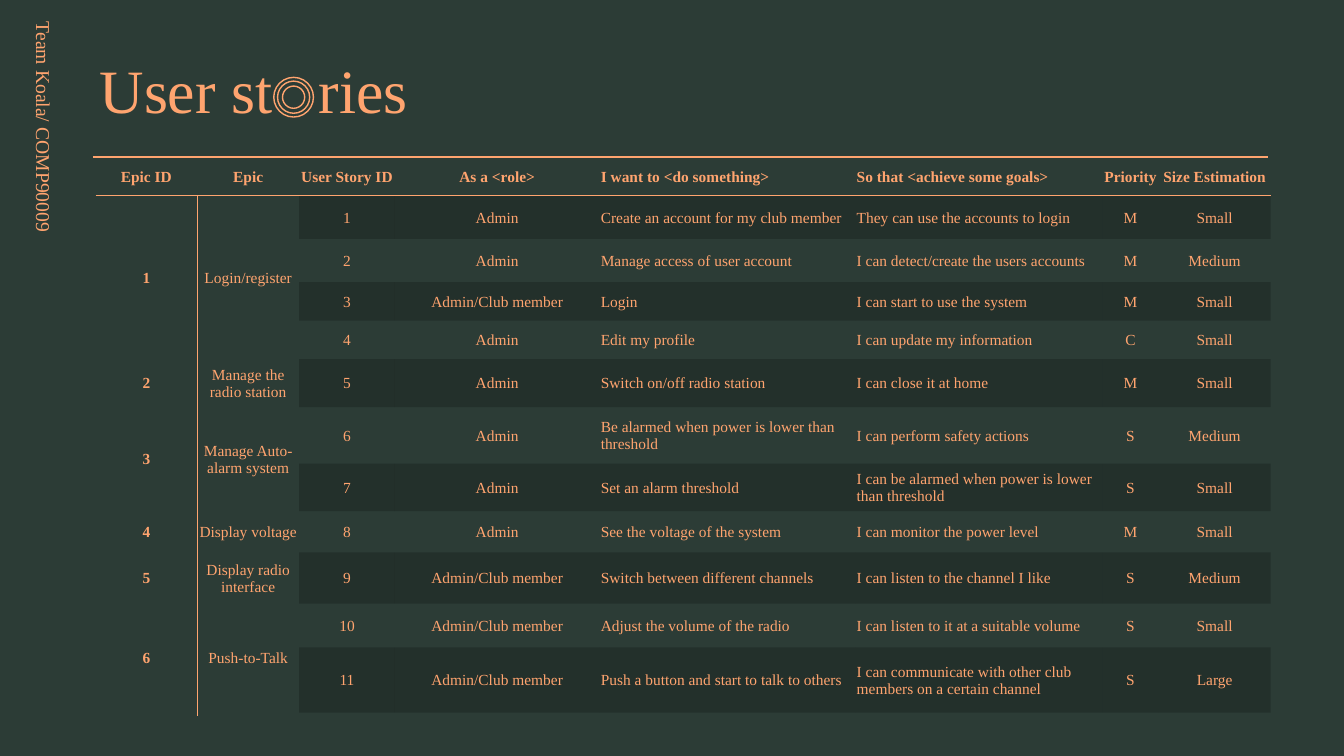
from dataclasses import dataclass

from lxml import etree
from pptx import Presentation
from pptx.dml.color import RGBColor
from pptx.enum import shapes, text
from pptx.oxml.ns import qn
from pptx.util import Cm, Pt

TITLE = ("User st", " ", "ries")
SIDE = "Team Koala/ COMP90009"
HEADS = ["Epic ID", "Epic", "User Story ID", "As a <role>",
         "I want to <do something>", "So that <achieve some goals>",
         "Priority", "Size Estimation"]
BOTH = "Admin/Club member"
# Each epic: name and its stories (role, wish, goal, priority, size)
EPICS = [
    ("Login/register", [
        ("Admin", "Create an account for my club member",
         "They can use the accounts to login", "M", "Small"),
        ("Admin", "Manage access of user account",
         "I can detect/create the users accounts", "M", "Medium"),
        (BOTH, "Login", "I can start to use the system", "M", "Small"),
        ("Admin", "Edit my profile", "I can update my information", "C", "Small"),
    ]),
    ("Manage the radio station", [
        ("Admin", "Switch on/off radio station", "I can close it at home", "M", "Small"),
    ]),
    ("Manage Auto-alarm system", [
        ("Admin", "Be alarmed when power is lower than threshold",
         "I can perform safety actions", "S", "Medium"),
        ("Admin", "Set an alarm threshold",
         "I can be alarmed when power is lower than threshold", "S", "Small"),
    ]),
    ("Display voltage", [
        ("Admin", "See the voltage of the system",
         "I can monitor the power level", "M", "Small"),
    ]),
    ("Display radio interface", [
        (BOTH, "Switch between different channels",
         "I can listen to the channel I like", "S", "Medium"),
    ]),
    ("Push-to-Talk", [
        (BOTH, "Adjust the volume of the radio",
         "I can listen to it at a suitable volume", "S", "Small"),
        (BOTH, "Push a button and start to talk to others",
         "I can communicate with other club members on a certain channel", "S", "Large"),
    ]),
]

# Lengths in centimetres
WIDE, HIGH = 33.87, 19.05
LEFT, TOP = 2.41, 3.96
COLS = [2.56, 2.57, 2.41, 5.16, 6.45, 6.22, 1.42, 2.82]
ROWS = [0.97, 1.09, 1.09, 0.97, 0.97, 1.21, 1.42, 1.2, 1.04, 1.29, 1.1, 1.65]
RINGS = (7.4, 2.45, [0.81, 0.56, 1.0])  # centre x, centre y, diameters
FLUSH = (4, 5)  # columns set to the left


@dataclass(frozen=True)
class Theme:
    font: str = "Times New Roman"
    ink: RGBColor = RGBColor(0xFF, 0xA4, 0x6F)
    back: RGBColor = RGBColor(0x2C, 0x3C, 0x36)
    band: RGBColor = RGBColor(0, 0, 0)
    alpha: int = 20
    title: int = 44
    side: int = 14
    cell: int = 11
    line: int = 1


LOOK = Theme()


def style(para, size, bold=False):
    font = para.font
    font.name, font.size, font.bold = LOOK.font, Pt(size), bold
    font.color.rgb = LOOK.ink


def write(cell, words, bold=False, left=False):
    cell.text = words
    cell.vertical_anchor = text.MSO_ANCHOR.MIDDLE
    cell.margin_left = cell.margin_top = cell.margin_right = Cm(0.03)
    cell.margin_bottom = 0
    para = cell.text_frame.paragraphs[0]
    para.alignment = text.PP_ALIGN.LEFT if left else text.PP_ALIGN.CENTER
    style(para, LOOK.cell, bold)


def shade(cell):
    """Fill a cell with the translucent band colour."""
    cell.fill.solid()
    cell.fill.fore_color.rgb = LOOK.band
    tone = next(cell.fill._xPr.iter(qn("a:srgbClr")))
    etree.SubElement(tone, qn("a:alpha")).set("val", str(LOOK.alpha * 1000))


def rule(slide, x1, y1, x2, y2):
    line = slide.shapes.add_connector(
        shapes.MSO_CONNECTOR.STRAIGHT, Cm(x1), Cm(y1), Cm(x2), Cm(y2))
    line.line.color.rgb = LOOK.ink
    line.line.width = Pt(LOOK.line)
    etree.SubElement(line._element.spPr, qn("a:effectLst"))


def frame(slide, x, y, w, h):
    body = slide.shapes.add_textbox(Cm(x), Cm(y), Cm(w), Cm(h)).text_frame
    body.word_wrap = True
    return body


def heading(slide):
    body = frame(slide, 2.26, 0.51, 29.21, 3.68)
    body.vertical_anchor = text.MSO_ANCHOR.MIDDLE
    para = body.paragraphs[0]
    para.line_spacing = 0.9
    style(para, LOOK.title)
    runs = [para.add_run() for _ in TITLE]
    for run, part in zip(runs, TITLE):
        run.text = part
    # Widen the one space so that the rings fit into it
    runs[1].font._element.set("spc", "2200")


def label(slide):
    body = frame(slide, 0.41, 0.3, 1.12, 9.22)
    body._txBody.bodyPr.set("vert", "eaVert")
    body.text = SIDE
    style(body.paragraphs[0], LOOK.side)


def stories(slide):
    table = slide.shapes.add_table(
        len(ROWS), len(COLS), Cm(LEFT), Cm(TOP), Cm(sum(COLS)), Cm(sum(ROWS))).table
    table.first_row = table.horz_banding = False
    plain = "{2D5ABB26-0587-4C30-8999-92F81FD0307C}"
    next(table._tbl.iter(qn("a:tableStyleId"))).text = plain
    for col, width in zip(table.columns, COLS):
        col.width = Cm(width)
    for row, height in zip(table.rows, ROWS):
        row.height = Cm(height)
    for cell in table.iter_cells():
        cell.fill.background()

    for col, head in enumerate(HEADS):
        write(table.cell(0, col), head, True, col in FLUSH)
    row = 1
    for epic, (name, tales) in enumerate(EPICS, 1):
        last = row + len(tales) - 1
        for col, words in enumerate((str(epic), name)):
            cell = table.cell(row, col)
            if last > row:
                cell.merge(table.cell(last, col))
            write(cell, words, col == 0)
        for row, tale in enumerate(tales, row):
            for col, words in enumerate((str(row), *tale), 2):
                cell = table.cell(row, col)
                write(cell, words, left=col in FLUSH)
                if row % 2:
                    shade(cell)
        row = last + 1


def rings(slide):
    x, y, sizes = RINGS
    group = slide.shapes.add_group_shape()
    for size in sizes:
        ring = group.shapes.add_shape(
            shapes.MSO_SHAPE.OVAL, Cm(x - size / 2), Cm(y - size / 2), Cm(size), Cm(size))
        ring.shadow.inherit = False
        ring.fill.background()
        ring.line.color.rgb = LOOK.ink
        ring.line.width = Pt(LOOK.line)


def main():
    deck = Presentation()
    deck.slide_width, deck.slide_height = Cm(WIDE), Cm(HIGH)
    slide = deck.slides.add_slide(deck.slide_layouts[6])
    back = slide.shapes.add_shape(
        shapes.MSO_SHAPE.RECTANGLE, 0, 0, Cm(WIDE), Cm(HIGH))
    back.shadow.inherit = False
    back.fill.solid()
    back.fill.fore_color.rgb = back.line.color.rgb = LOOK.back
    back.line.width = Pt(LOOK.line)
    heading(slide)
    label(slide)
    stories(slide)
    rings(slide)
    right, under, side = LEFT + sum(COLS), TOP + ROWS[0], LEFT + COLS[0]
    rule(slide, LEFT, under, right, under)
    rule(slide, LEFT - 0.07, TOP, right - 0.07, TOP)
    rule(slide, side, under, side, 18.03)
    deck.save("out.pptx")


if __name__ == "__main__":
    main()
